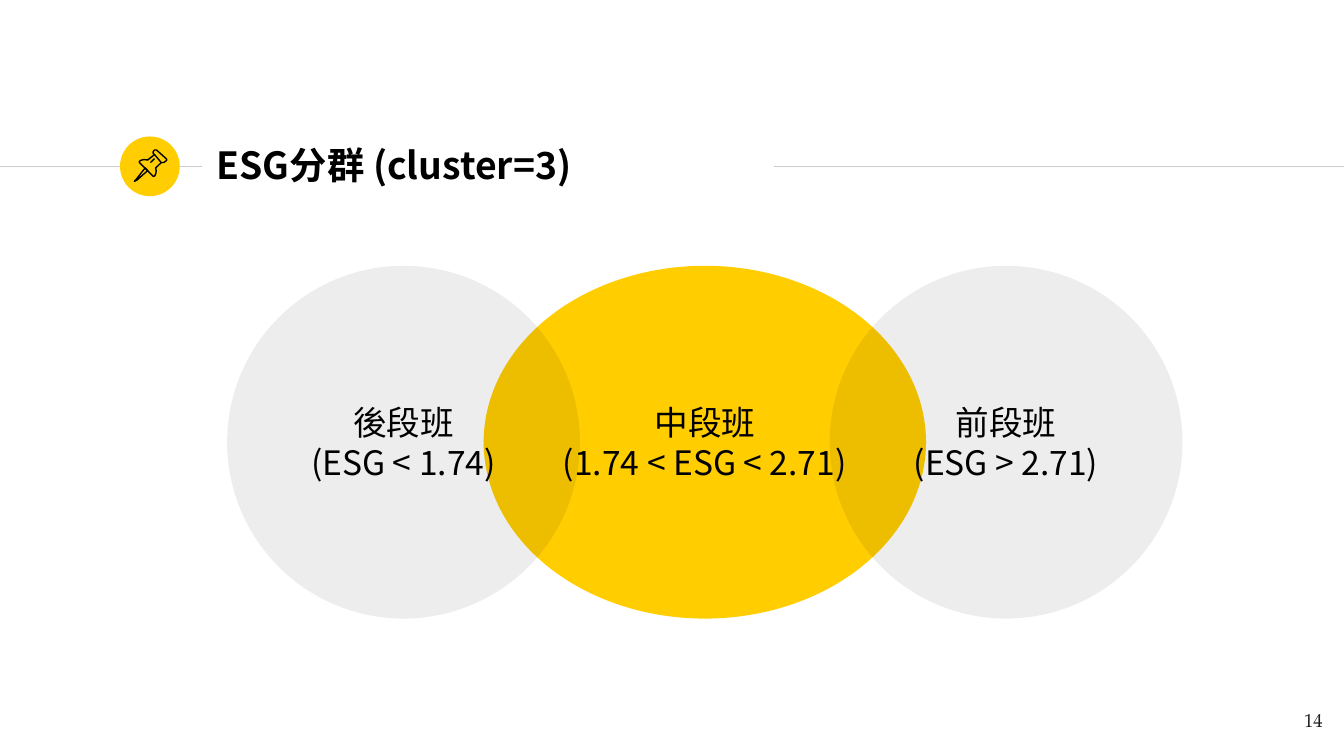
from dataclasses import dataclass

from lxml import etree
from pptx import Presentation
from pptx.dml.color import RGBColor
from pptx.enum.shapes import MSO_CONNECTOR, MSO_SHAPE
from pptx.enum.text import MSO_ANCHOR, PP_ALIGN
from pptx.oxml.ns import qn
from pptx.util import Pt

OVAL = MSO_SHAPE.OVAL
STRAIGHT = MSO_CONNECTOR.STRAIGHT
TOP, MIDDLE = MSO_ANCHOR.TOP, MSO_ANCHOR.MIDDLE
LEFT, CENTER, RIGHT = PP_ALIGN.LEFT, PP_ALIGN.CENTER, PP_ALIGN.RIGHT


@dataclass(frozen=True)
class Theme:
    """Colours, fonts and type sizes of the slide."""
    accent: str = "FFCD00"
    black: str = "000000"
    rule: str = "CCCCCC"
    number: str = "1D1D1B"
    sans: str = "Noto Sans CJK TC"
    serif: str = "TeX Gyre Pagella"
    title_size: float = 20
    label_size: float = 18
    number_size: float = 10
    line_width: float = 0.75
    inset: float = 7.2


class Painter:
    """Draws styled elements on the current slide."""

    def __init__(self, page, theme):
        """Keep the slide and its style."""
        self.page, self.theme = page, theme

    def set_text(self, shape, lines, size, color, font, align, anchor, bold=False):
        """Fill a shape with styled paragraphs."""
        frame = shape.text_frame
        frame.word_wrap = True
        frame.vertical_anchor = anchor
        frame.margin_left = frame.margin_right = Pt(self.theme.inset)
        frame.margin_top = frame.margin_bottom = Pt(self.theme.inset)
        frame.text = "\n".join(lines)
        for para in frame.paragraphs:
            para.alignment = align
            para.font.size, para.font.bold, para.font.name = Pt(size), bold, font
            para.font.color.rgb = RGBColor.from_string(color)
            properties = para._p.pPr.find(qn("a:defRPr"))
            etree.SubElement(properties, qn("a:ea"), typeface=font)

    def text(self, left, top, width, height, line, **style):
        """Add a text box."""
        box = self.page.shapes.add_textbox(Pt(left), Pt(top), Pt(width), Pt(height))
        self.set_text(box, [line], **style)

    def oval(self, center_x, center_y, width, height, color, alpha=None, lines=()):
        """Add an ellipse around a centre, optionally see-through and labelled."""
        shape = self.page.shapes.add_shape(
            OVAL, Pt(center_x - width / 2), Pt(center_y - height / 2), Pt(width), Pt(height))
        shape.shadow.inherit = False
        shape.line.fill.background()
        shape.fill.solid()
        shape.fill.fore_color.rgb = RGBColor.from_string(color)
        if alpha is not None:
            paint = shape._element.spPr.find(qn("a:solidFill"))[0]
            etree.SubElement(paint, qn("a:alpha"), val=str(alpha * 1000))
        if lines:
            self.set_text(shape, lines, self.theme.label_size, self.theme.black,
                          self.theme.sans, CENTER, MIDDLE)

    def stroke(self, shape, color):
        """Set the line style of a shape or connector."""
        shape.line.color.rgb = RGBColor.from_string(color)
        shape.line.width = Pt(self.theme.line_width)

    def line(self, start, end, color):
        """Add a straight line."""
        connector = self.page.shapes.add_connector(
            STRAIGHT, Pt(start[0]), Pt(start[1]), Pt(end[0]), Pt(end[1]))
        self.stroke(connector, color)
        etree.SubElement(connector._element.spPr, qn("a:effectLst"))

    def outline(self, points, close):
        """Add an unfilled freeform, placed to a tenth of a point."""
        start, *rest = [(round(x * 10), round(y * 10)) for x, y in points]
        builder = self.page.shapes.build_freeform(*start, scale=Pt(0.1))
        builder.add_line_segments(rest, close=close)
        shape = builder.convert_to_shape()
        shape.shadow.inherit = False
        shape.fill.background()
        self.stroke(shape, self.theme.black)


def main():
    """Build and save the slide."""
    theme = Theme()
    deck = Presentation()
    deck.slide_width, deck.slide_height = Pt(720), Pt(405)
    page = deck.slides.add_slide(deck.slide_layouts[6])
    painter = Painter(page, theme)

    rule_y = 89.1
    painter.line((0, rule_y), (108.2, rule_y), theme.rule)
    painter.oval(80.3, rule_y, 32, 32, theme.accent)
    painter.line((414.7, rule_y), (720, rule_y), theme.rule)
    painter.text(109, 70.6, 305.3, 34.6, "ESG分群 (cluster=3)", size=theme.title_size,
                 color=theme.black, font=theme.sans, align=LEFT, anchor=MIDDLE, bold=True)

    center_x, center_y, diameter, offset = 377.6, 236.9, 189, 161.4
    painter.oval(center_x, center_y, 237, diameter, theme.accent,
                 lines=["中段班", "(1.74 < ESG < 2.71)"])
    for side, lines in ((-1, ["後段班", "(ESG < 1.74)"]), (1, ["前段班", "(ESG > 2.71)"])):
        painter.oval(center_x + side * offset, center_y, diameter, diameter,
                     theme.black, alpha=7, lines=lines)

    needle = [(77.8, 90), (72.7, 96.5), (72, 97.2), (73.4, 96.5), (79.2, 91.4)]
    cap = [(82.8, 82.8), (86.4, 87.1), (87.8, 87.1), (89.3, 86), (89.3, 85.3),
           (83.9, 80.4), (82.8, 80.4), (82.1, 81.3), (82.1, 82.2)]
    body = [(82.8, 82.8), (79.2, 85.7), (77, 85.5), (75.4, 85.9), (74.7, 86.4),
            (74.7, 87.1), (82.1, 94.5), (82.9, 94.3), (83.5, 92.9), (83.7, 91.4),
            (83.4, 90), (86.4, 87.1)]
    for points, close in ((needle, True), (cap, True), (body, False)):
        painter.outline(points, close)
    painter.line((80.6, 87.1), (82.8, 85), theme.black)

    painter.text(672.5, 373.7, 43.2, 31, "14", size=theme.number_size,
                 color=theme.number, font=theme.serif, align=RIGHT, anchor=TOP)
    deck.save("out.pptx")


if __name__ == "__main__":
    main()
